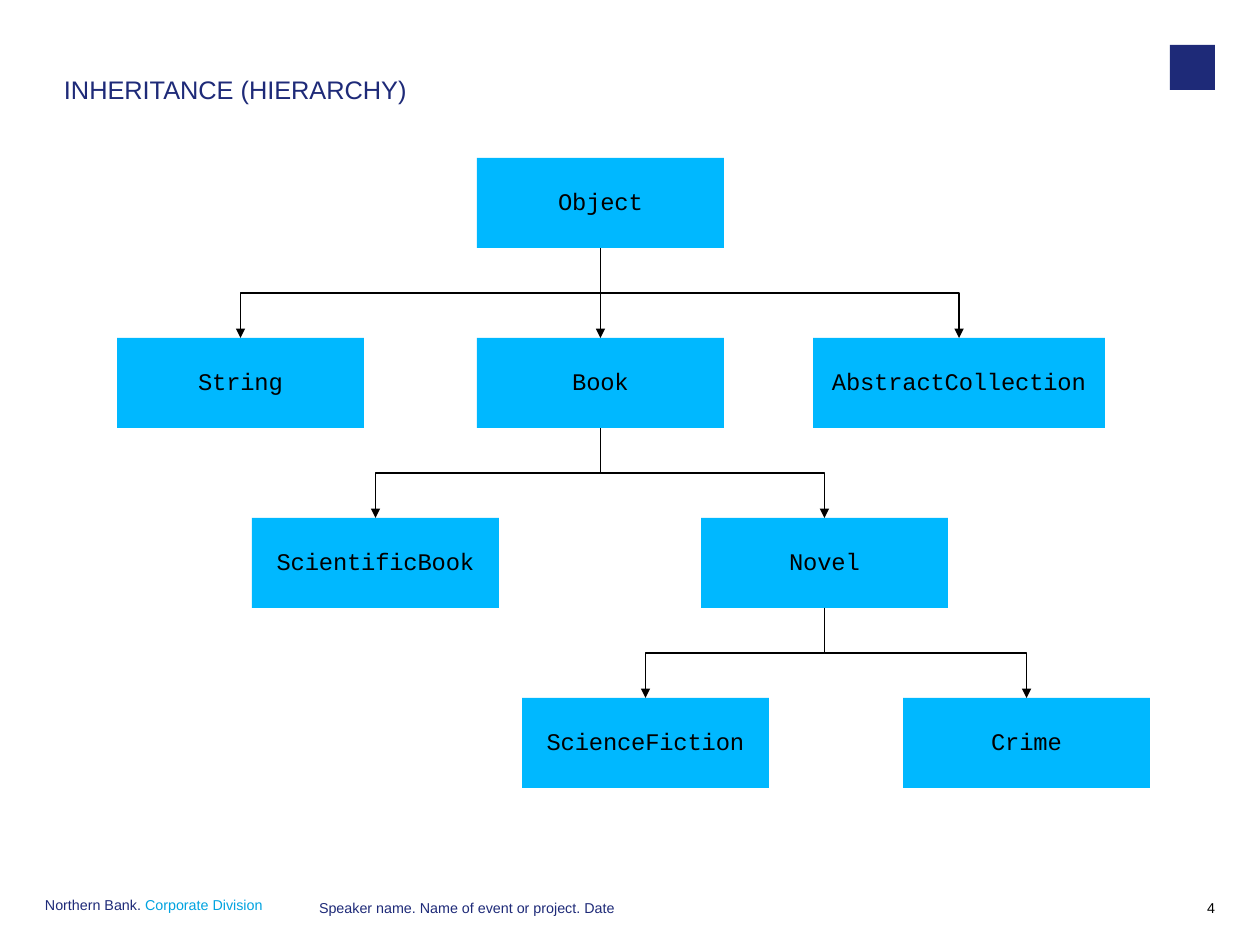
from pptx import Presentation
from pptx.dml.color import RGBColor
from pptx.enum.shapes import MSO_CONNECTOR, MSO_SHAPE
from pptx.enum.text import MSO_ANCHOR, PP_ALIGN
from pptx.oxml.ns import qn
from pptx.util import Pt
from lxml import etree

PX = 8000  # the slide is 1260 x 945 px
NAVY, CYAN, SKY, BLACK = "1E2A78", "00A3E0", "00B8FF", "000000"
RECTANGLE = MSO_SHAPE.RECTANGLE
STRAIGHT, ELBOW = MSO_CONNECTOR.STRAIGHT, MSO_CONNECTOR.ELBOW
TOP, MIDDLE = MSO_ANCHOR.TOP, MSO_ANCHOR.MIDDLE
LEFT, CENTER, RIGHT = PP_ALIGN.LEFT, PP_ALIGN.CENTER, PP_ALIGN.RIGHT

FIRST_ROW, ROW_STEP, BOX_HEIGHT, BOX_WIDTH = 158, 180, 90, 247
# class name, parent, row, centre x, width
CLASSES = [
    ("Object", None, 0, 600, BOX_WIDTH),
    ("String", "Object", 1, 240, BOX_WIDTH),
    ("Book", "Object", 1, 600, BOX_WIDTH),
    ("AbstractCollection", "Object", 1, 959, 292),
    ("ScientificBook", "Book", 2, 375, BOX_WIDTH),
    ("Novel", "Book", 2, 824, BOX_WIDTH),
    ("ScienceFiction", "Novel", 3, 645, BOX_WIDTH),
    ("Crime", "Novel", 3, 1026, BOX_WIDTH),
]


def px(*lengths):
    return [length * PX for length in lengths]


def rgb(color):
    return RGBColor.from_string(color)


def style_font(font, size, color, family="Arial"):
    font.size, font.name = Pt(size), family
    font.color.rgb = rgb(color)


def prepare_frame(frame, anchor):
    """Remove the insets, wrap the text and return the first paragraph."""
    frame.margin_left = frame.margin_right = 0
    frame.margin_top = frame.margin_bottom = 0
    frame.word_wrap, frame.vertical_anchor = True, anchor
    return frame.paragraphs[0]


def add_title(slide, text):
    title = slide.shapes.title
    title.left, title.top, title.width, title.height = px(64, 78, 1082, 70)
    paragraph = prepare_frame(title.text_frame, TOP)
    paragraph.text = text
    paragraph.alignment, paragraph.line_spacing = LEFT, 0.9
    style_font(paragraph.font, 16, NAVY)


def add_footer(slide, left, top, width, parts, align=LEFT):
    """Add a footer line from (text, color) parts."""
    footer = slide.shapes.add_textbox(*px(left, top, width, 23))
    paragraph = prepare_frame(footer.text_frame, TOP)
    paragraph.alignment, paragraph.line_spacing = align, Pt(9)
    for text, color in parts:
        run = paragraph.add_run()
        run.text = text
        style_font(run.font, 9, color)


def add_block(slide, left, top, width, height, color):
    block = slide.shapes.add_shape(RECTANGLE, *px(left, top, width, height))
    block.shadow.inherit = False
    block.fill.solid()
    block.fill.fore_color.rgb = rgb(color)
    block.line.fill.background()
    return block


def add_class_box(slide, name, row, center, width):
    box = add_block(slide, center - width // 2, FIRST_ROW + row * ROW_STEP,
                    width, BOX_HEIGHT, SKY)
    paragraph = prepare_frame(box.text_frame, MIDDLE)
    box.text_frame.margin_bottom = 4 * PX
    paragraph.text = name
    paragraph.alignment = CENTER
    style_font(paragraph.font, 15, BLACK, "Courier New")
    paragraph.font._rPr.set("spc", "-10")
    return box


def turn_elbow(arrow, start_x, start_y, end_x, end_y):
    """Rotate an elbow so that it leaves and arrives vertically."""
    run, drop = abs(end_x - start_x), end_y - start_y
    arrow.left = (start_x + end_x - drop) // 2
    arrow.top = (start_y + end_y - run) // 2
    arrow.width, arrow.height = drop, run
    xfrm = arrow._element.spPr.find(qn("a:xfrm"))
    to_right = end_x > start_x
    xfrm.set("rot", str((270 if to_right else 90) * 60000))
    xfrm.set("flipH", "1" if to_right else "0")
    xfrm.set("flipV", "0")


def add_inheritance_arrow(slide, parent, child):
    start = parent.left + parent.width // 2, parent.top + parent.height
    end = child.left + child.width // 2, child.top
    route = STRAIGHT if start[0] == end[0] else ELBOW
    arrow = slide.shapes.add_connector(route, *start, *end)
    arrow.begin_connect(parent, 2)
    arrow.end_connect(child, 0)
    if route == ELBOW:
        turn_elbow(arrow, *start, *end)
    arrow.line.color.rgb = rgb(BLACK)
    arrow.line.width = Pt(1)
    etree.SubElement(arrow.line._get_or_add_ln(), qn("a:tailEnd"), type="triangle")
    etree.SubElement(arrow._element.spPr, qn("a:effectLst"))


def main():
    presentation = Presentation()
    presentation.slide_width = 1260 * PX
    presentation.slide_height = 945 * PX
    slide = presentation.slides.add_slide(presentation.slide_layouts[5])

    add_title(slide, "INHERITANCE (HIERARCHY)")
    add_block(slide, 1170, 45, 45, 45, NAVY)
    add_footer(slide, 45, 899, 250,
               [("Northern Bank. ", NAVY), ("Corporate Division", CYAN)])
    add_footer(slide, 319, 902, 617,
               [("Speaker name. Name of event or project. Date", NAVY)])
    add_footer(slide, 1170, 902, 45, [("4", BLACK)], RIGHT)

    boxes = {}
    for name, parent, row, center, width in CLASSES:
        boxes[name] = add_class_box(slide, name, row, center, width)
        if parent:
            add_inheritance_arrow(slide, boxes[parent], boxes[name])

    presentation.save("out.pptx")


if __name__ == "__main__":
    main()
